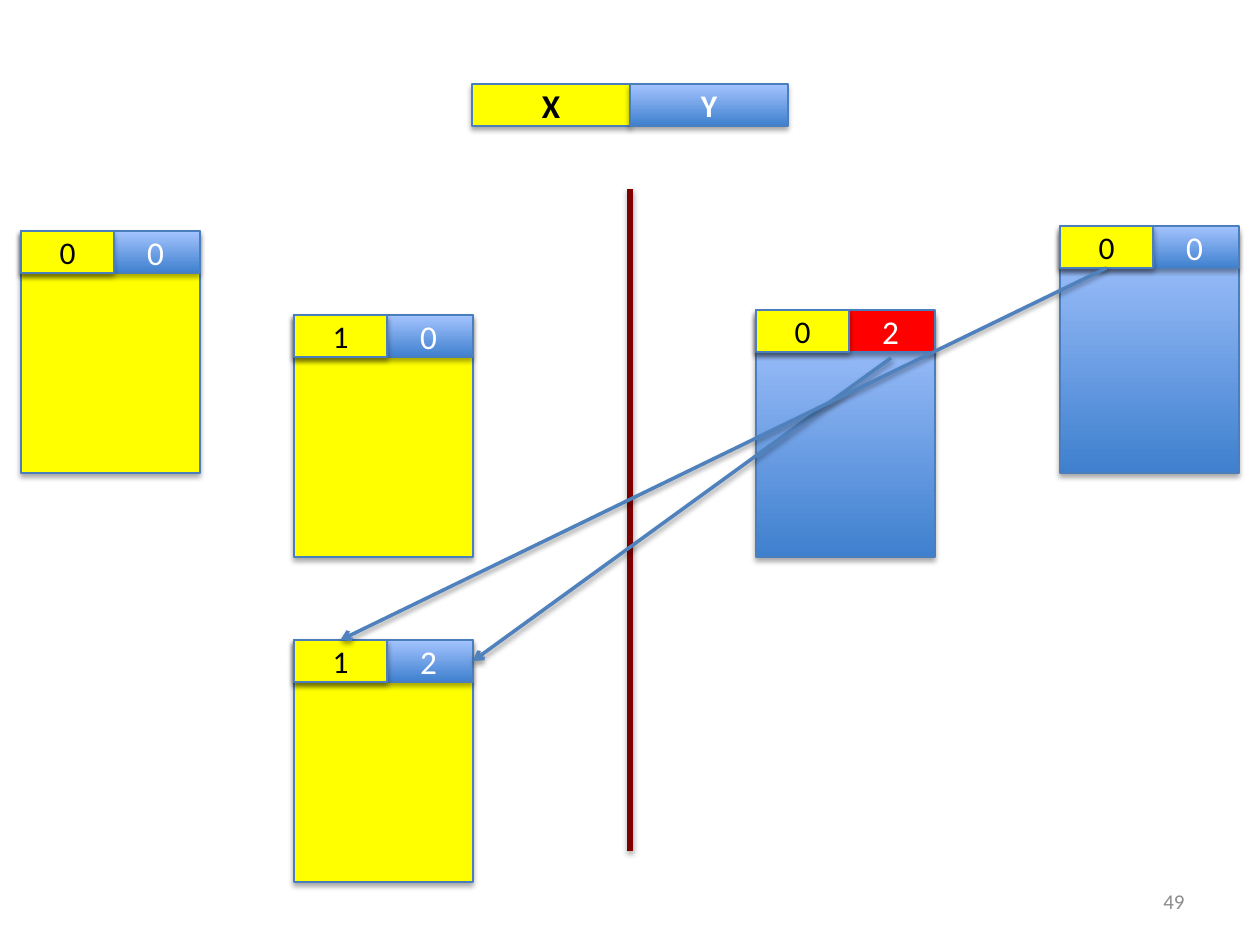
from dataclasses import dataclass

from lxml import etree
from pptx import Presentation
from pptx.dml.color import RGBColor
from pptx.enum.shapes import MSO_CONNECTOR, MSO_SHAPE
from pptx.enum.text import MSO_ANCHOR, MSO_AUTO_SIZE, PP_ALIGN
from pptx.oxml.ns import qn
from pptx.util import Emu, Pt

RECT = MSO_SHAPE.RECTANGLE
LINE = MSO_CONNECTOR.STRAIGHT
CENTER, RIGHT = PP_ALIGN.CENTER, PP_ALIGN.RIGHT
TOP, MIDDLE = MSO_ANCHOR.TOP, MSO_ANCHOR.MIDDLE
SIDE_TOP, SIDE_BOTTOM, SIDE_RIGHT = 0, 2, 3


@dataclass(frozen=True)
class Theme:
    font: str = "Calibri"
    yellow: str = "FFFF00"
    red: str = "FF0000"
    blue: tuple = ("3F80CE", "A4C4FF")  # bottom, top
    edge: str = "4B7EBC"
    arrow: str = "4F81BD"
    wall: str = "800000"
    black: str = "000000"
    white: str = "FFFFFF"
    grey: str = "8C8C8C"
    small: int = 12
    key: int = 18
    value: int = 19


T = Theme()

# Lengths in px, 126 to the inch
WIDTH, HEIGHT = 1260, 945
CARD_W, CARD_H, HEAD_H, KEY_W = 179, 242, 42, 93
LEGEND = [("X", 472, T.yellow, T.black, T.value), ("Y", 630, T.blue, T.white, T.key)]
LEGEND_Y, LEGEND_W = 84, 158
WALL = (630, 189, 630, 851)
# name, left, body top, head lift, body fill, head fill, x, y
CARDS = [
    ("near right", 756, 315, 5, T.blue, T.red, "0", "2"),
    ("near left", 294, 315, 0, T.yellow, T.blue, "1", "0"),
    ("far right", 1060, 231, 5, T.blue, T.blue, "0", "0"),
    ("far left", 21, 231, 0, T.yellow, T.blue, "0", "0"),
    ("merged", 294, 640, 0, T.yellow, T.blue, "1", "2"),
]
PAGE = ("49", (903, 876, 294, 50))


def px(n):
    return Emu(round(n * 914400 / 126))


def rgb(code):
    return RGBColor.from_string(code)


def cast(shape, alpha, dist):
    """Give the shape a soft shadow straight below it."""
    props = shape._element.spPr
    effects = etree.SubElement(props, qn("a:effectLst"))
    shade = etree.SubElement(
        effects, qn("a:outerShdw"), blurRad=str(Pt(3.1)), dist=str(Pt(dist)),
        dir="5400000", rotWithShape="0")
    color = etree.SubElement(shade, qn("a:srgbClr"), val=T.black)
    etree.SubElement(color, qn("a:alpha"), val=str(alpha * 1000))


def write(shape, text, size=T.key, color=T.black, bold=False,
          align=CENTER, anchor=MIDDLE, wrap=True):
    frame = shape.text_frame
    frame.word_wrap = wrap
    frame.vertical_anchor = anchor
    if not wrap:
        frame.auto_size = MSO_AUTO_SIZE.SHAPE_TO_FIT_TEXT
    par = frame.paragraphs[0]
    par.alignment = align
    run = par.add_run()
    run.text = text
    font = run.font
    font.name, font.size, font.bold = T.font, Pt(size), bold
    font.color.rgb = rgb(color)


def box(shapes, left, top, width, height, fill):
    """Add a rectangle; a pair of colours gives an upward gradient."""
    shape = shapes.add_shape(RECT, px(left), px(top), px(width), px(height))
    if isinstance(fill, tuple):
        shape.fill.gradient()
        shape.fill.gradient_angle = 90
        for stop, code in zip(shape.fill.gradient_stops, fill):
            stop.color.rgb = rgb(code)
    else:
        shape.fill.solid()
        shape.fill.fore_color.rgb = rgb(fill)
    shape.line.color.rgb = rgb(T.edge)
    shape.line.width = Pt(0.75)
    cast(shape, 35, 1.8)
    return shape


def link(shapes, ends, color, width, arrow=False):
    line = shapes.add_connector(LINE, *map(px, ends))
    line.line.color.rgb = rgb(color)
    line.line.width = Pt(width)
    if arrow:
        stroke = line._element.spPr.find(qn("a:ln"))
        etree.SubElement(stroke, qn("a:tailEnd"), type="arrow")
    cast(line, 38, 1.6)
    return line


def card(shapes, left, top, lift, body, head, x, y):
    """Add a card and return its head and its key cell."""
    group = shapes.add_group_shape().shapes
    box(group, left, top, CARD_W, CARD_H, body)
    top -= lift
    bar = box(group, left, top, CARD_W, HEAD_H, head)
    key = box(group, left, top, KEY_W, HEAD_H, T.yellow)
    write(key, x)
    label = group.add_textbox(px(left + 113), px(top - 5), px(43), px(53))
    write(label, y, size=T.value, color=T.white, anchor=TOP, wrap=False)
    return bar, key


def main():
    deck = Presentation()
    deck.slide_width, deck.slide_height = px(WIDTH), px(HEIGHT)
    shapes = deck.slides.add_slide(deck.slide_layouts[6]).shapes

    text, place = PAGE
    write(shapes.add_textbox(*map(px, place)), text, size=T.small,
          color=T.grey, align=RIGHT)

    for text, left, fill, color, size in LEGEND:
        cell = box(shapes, left, LEGEND_Y, LEGEND_W, HEAD_H, fill)
        write(cell, text, size=size, color=color, bold=True)
    link(shapes, WALL, T.wall, 3)

    cards = {name: card(shapes, *rest) for name, *rest in CARDS}
    bar, key = cards["merged"]

    near = link(shapes, (891, 358, 473, 661), T.arrow, 2, arrow=True)
    near.end_connect(bar, SIDE_RIGHT)
    far = link(shapes, (1106, 267, 340, 640), T.arrow, 2, arrow=True)
    far.begin_connect(cards["far right"][1], SIDE_BOTTOM)
    far.end_connect(key, SIDE_TOP)

    deck.save("out.pptx")


if __name__ == "__main__":
    main()
